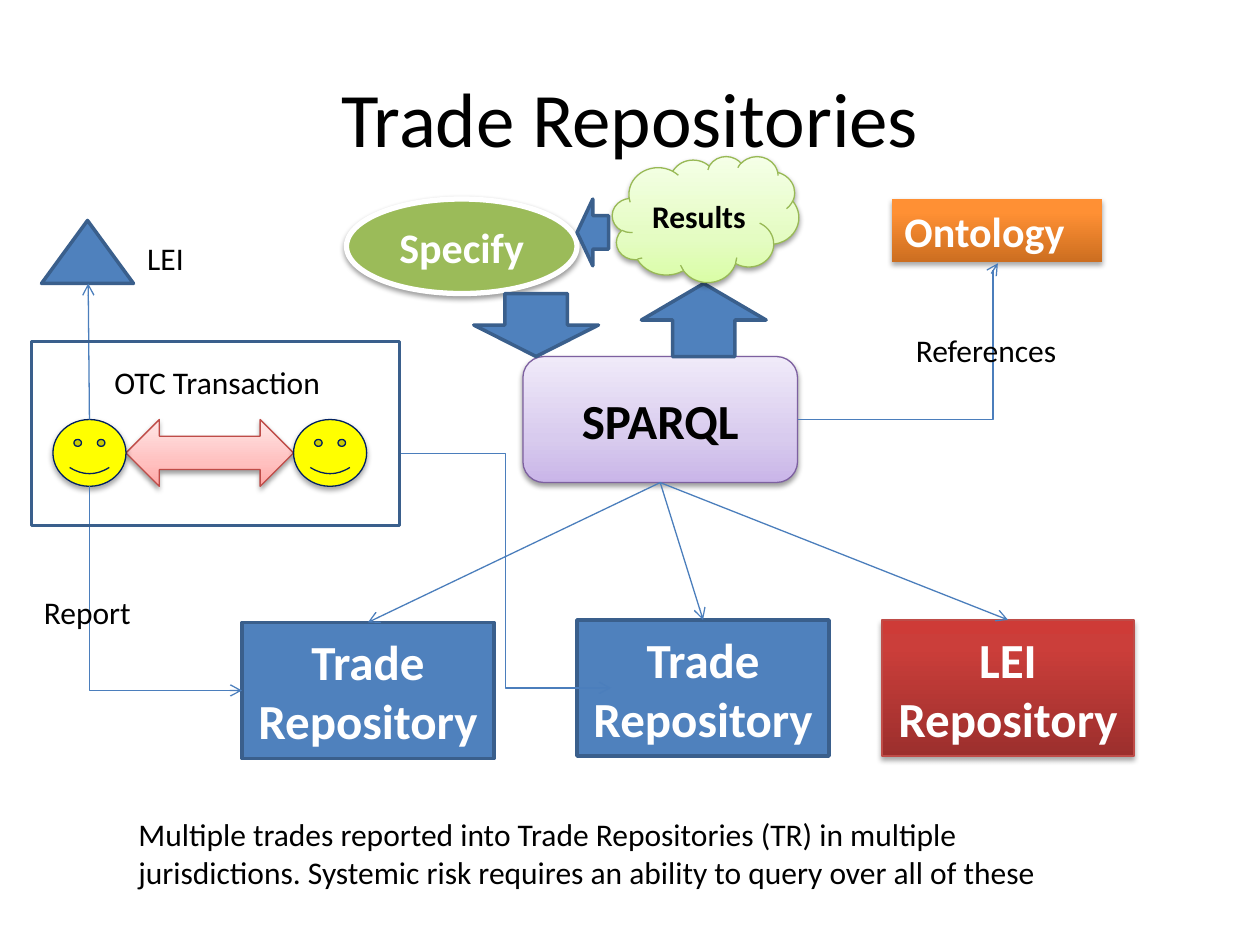
from lxml.etree import SubElement
from pptx import Presentation
from pptx.dml.color import RGBColor
from pptx.enum.shapes import MSO_CONNECTOR, MSO_SHAPE
from pptx.enum.text import MSO_ANCHOR, MSO_AUTO_SIZE, PP_ALIGN
from pptx.oxml.ns import qn
from pptx.util import Inches, Pt

BLACK = RGBColor(0x00, 0x00, 0x00)
WHITE = RGBColor(0xFF, 0xFF, 0xFF)
BLUE = RGBColor(0x4F, 0x81, 0xBD)
DARK_BLUE = RGBColor(0x3A, 0x5F, 0x8C)
LINK_BLUE = RGBColor(0x4B, 0x7E, 0xBC)
NAVY = RGBColor(0x00, 0x20, 0x60)
GREEN = RGBColor(0x9B, 0xBB, 0x59)
LEAF = RGBColor(0x98, 0xB9, 0x55)
YELLOW = RGBColor(0xFF, 0xFF, 0x00)
RED = RGBColor(0xBF, 0x4C, 0x48)
PURPLE = RGBColor(0x7D, 0x60, 0xA0)


def gradient(*stops):
    return [(position, RGBColor.from_string(color)) for position, color in stops]


RED_FADE = gradient((0, "9C2F2D"), (80, "CB3E3A"), (100, "CE3B37"))
ORANGE_FADE = gradient((0, "CC6E20"), (80, "FF9034"), (100, "FF9136"))
PURPLE_FADE = gradient((0, "C9B5E8"), (35, "D8CBEE"), (100, "F0EAF9"))
PINK_FADE = gradient((0, "FFA6A5"), (35, "FFC0BF"), (100, "FFE7E7"))
GREEN_FADE = gradient((0, "DAFDA7"), (35, "E4FCC2"), (100, "F5FFE7"))

# Opacity in percent, distance in points
STRONG_SHADOW = (35, 1.8)
SOFT_SHADOW = (38, 1.6)


class Diagram:
    font = "Calibri"

    def __init__(self, slide):
        self.slide = slide

    def run(self, shape, text, size, color, bold=False, align=PP_ALIGN.LEFT):
        paragraph = shape.text_frame.paragraphs[0]
        paragraph.alignment = align
        run = paragraph.add_run()
        run.text = text
        run.font.name = self.font
        run.font.size = Pt(size)
        run.font.bold = bold
        run.font.color.rgb = color

    def text(self, box, text, size=18, wrap=False, align=PP_ALIGN.LEFT,
             anchor=MSO_ANCHOR.TOP, grow=True):
        shape = self.slide.shapes.add_textbox(*map(Inches, box))
        frame = shape.text_frame
        frame.word_wrap = wrap
        frame.vertical_anchor = anchor
        frame.auto_size = (MSO_AUTO_SIZE.SHAPE_TO_FIT_TEXT if grow
                           else MSO_AUTO_SIZE.NONE)
        self.run(shape, text, size, BLACK, align=align)

    def fade(self, shape, stops):
        shape.fill.gradient()
        fill = shape._element.spPr.find(qn("a:gradFill"))
        for child in list(fill):
            fill.remove(child)
        stop_list = SubElement(fill, qn("a:gsLst"))
        for position, color in stops:
            stop = SubElement(stop_list, qn("a:gs"), pos=str(position * 1000))
            SubElement(stop, qn("a:srgbClr"), val=str(color))
        SubElement(fill, qn("a:lin"), ang=str(270 * 60000), scaled="0")

    def cast_shadow(self, shape, opacity, distance):
        effects = shape._element.spPr.find(qn("a:effectLst"))
        shadow = SubElement(effects, qn("a:outerShdw"), blurRad=str(Pt(3.1)),
                            dist=str(Pt(distance)), dir=str(90 * 60000),
                            rotWithShape="0")
        color = SubElement(shadow, qn("a:srgbClr"), val=str(BLACK))
        SubElement(color, qn("a:alpha"), val=str(opacity * 1000))

    def shape(self, kind, box, fill=BLUE, line=DARK_BLUE, width=2, shadow=None):
        shape = self.slide.shapes.add_shape(kind, *map(Inches, box))
        if fill is None:
            shape.fill.background()
        elif isinstance(fill, list):
            self.fade(shape, fill)
        else:
            shape.fill.solid()
            shape.fill.fore_color.rgb = fill
        if line is None:
            shape.line.fill.background()
        else:
            shape.line.color.rgb = line
            shape.line.width = Pt(width)
        shape.shadow.inherit = False
        if shadow:
            self.cast_shadow(shape, *shadow)
        return shape

    def label(self, shape, text, size=28, color=WHITE):
        shape.text_frame.word_wrap = True
        self.run(shape, text, size, color, bold=True, align=PP_ALIGN.CENTER)

    def arrow(self, start, end, kind=MSO_CONNECTOR.STRAIGHT, bend=None):
        connector = self.slide.shapes.add_connector(
            kind, *map(Inches, (*start, *end)))
        connector.line.color.rgb = LINK_BLUE
        connector.line.width = Pt(0.75)
        properties = connector._element.spPr
        SubElement(properties.find(qn("a:ln")), qn("a:tailEnd"), type="arrow")
        SubElement(properties, qn("a:effectLst"))
        if bend is not None:
            guides = properties.find(qn("a:prstGeom")).get_or_add_avLst()
            SubElement(guides, qn("a:gd"), name="adj1",
                       fmla=f"val {round(bend * 100000)}")
        return connector

    def corner_arrow(self, start, end):
        """Goes down from the start, then right to the end."""
        connector = self.arrow(start, end, MSO_CONNECTOR.ELBOW)
        across, down = end[0] - start[0], end[1] - start[1]
        connector.left = Inches((start[0] + end[0] - down) / 2)
        connector.top = Inches((start[1] + end[1] - across) / 2)
        connector.width, connector.height = Inches(down), Inches(across)
        properties = connector._element.spPr
        properties.find(qn("a:prstGeom")).set("prst", "bentConnector2")
        transform = properties.find(qn("a:xfrm"))
        transform.set("rot", str(270 * 60000))
        transform.set("flipH", "1")


presentation = Presentation()
presentation.slide_width, presentation.slide_height = Inches(10), Inches(7.5)
diagram = Diagram(presentation.slides.add_slide(presentation.slide_layouts[6]))

# Title
diagram.text((0.5, 0.3, 9, 1.25), "Trade Repositories", 44, wrap=True,
             align=PP_ALIGN.CENTER, anchor=MSO_ANCHOR.MIDDLE, grow=False)

# Repositories
lei_repository = diagram.shape(MSO_SHAPE.RECTANGLE, (7, 4.92, 2, 1.08),
                               RED_FADE, RED, 0.75, STRONG_SHADOW)
diagram.label(lei_repository, "LEI Repository")
for left, top in ((4.58, 4.92), (1.92, 4.94)):
    repository = diagram.shape(MSO_SHAPE.RECTANGLE, (left, top, 2, 1.08))
    diagram.label(repository, "Trade Repository")

# Ontology and query engine
ontology = diagram.shape(MSO_SHAPE.RECTANGLE, (7.08, 1.58, 1.67, 0.5),
                         ORANGE_FADE, None, shadow=STRONG_SHADOW)
ontology.text_frame.vertical_anchor = MSO_ANCHOR.TOP
diagram.run(ontology, "Ontology", 24, WHITE, bold=True)
sparql = diagram.shape(MSO_SHAPE.ROUNDED_RECTANGLE, (4.15, 2.83, 2.18, 1),
                       PURPLE_FADE, PURPLE, 0.75, SOFT_SHADOW)
diagram.label(sparql, "SPARQL", color=BLACK)
for target in ((2.92, 4.94), (5.58, 4.92), (8, 4.92)):
    diagram.arrow((5.24, 3.83), target)
diagram.arrow((6.33, 3.33), (7.92, 2.09), MSO_CONNECTOR.ELBOW, bend=0.976)

# Specification step
specify = diagram.shape(MSO_SHAPE.OVAL, (2.75, 1.58, 1.83, 0.75),
                        GREEN, WHITE, 3, SOFT_SHADOW)
diagram.label(specify, "Specify", 24)
diagram.shape(MSO_SHAPE.DOWN_ARROW, (3.76, 2.33, 0.99, 0.5))

# Summary
diagram.text((1, 6.42, 7.67, 0.71),
             "Multiple trades reported into Trade Repositories (TR) in multiple "
             "jurisdictions. Systemic risk requires an ability to query over all "
             "of these", wrap=True)

# Transaction between two parties
diagram.shape(MSO_SHAPE.LEFT_RIGHT_ARROW, (1, 3.33, 1.33, 0.53),
              PINK_FADE, RED, 0.75, SOFT_SHADOW)
diagram.text((0.81, 2.83, 1.85, 0.4), "OTC Transaction")
for left in (0.42, 2.33):
    diagram.shape(MSO_SHAPE.SMILEY_FACE, (left, 3.33, 0.58, 0.53),
                  YELLOW, NAVY, 0.75, STRONG_SHADOW)
diagram.corner_arrow((0.71, 3.86), (1.92, 5.48))
diagram.text((0.25, 4.66, 0.9, 0.4), "Report")

# Legal entity identifier
diagram.shape(MSO_SHAPE.ISOSCELES_TRIANGLE, (0.33, 1.75, 0.73, 0.5))
diagram.text((1.07, 1.85, 0.49, 0.4), "LEI")
diagram.arrow((0.71, 3.33), (0.7, 2.25))
diagram.shape(MSO_SHAPE.RECTANGLE, (0.25, 2.71, 2.92, 1.46), fill=None)
diagram.text((7.17, 2.58, 1.33, 0.4), "References")

# Results
diagram.shape(MSO_SHAPE.UP_ARROW, (5.09, 2.25, 0.99, 0.58))
results = diagram.shape(MSO_SHAPE.CLOUD, (4.86, 1.24, 1.48, 1),
                        GREEN_FADE, LEAF, 0.75, SOFT_SHADOW)
diagram.label(results, "Results", 18, BLACK)
diagram.shape(MSO_SHAPE.LEFT_ARROW, (4.58, 1.58, 0.25, 0.53))
diagram.arrow((3.18, 3.6), (4.85, 5.46), MSO_CONNECTOR.ELBOW)

presentation.save("out.pptx")
